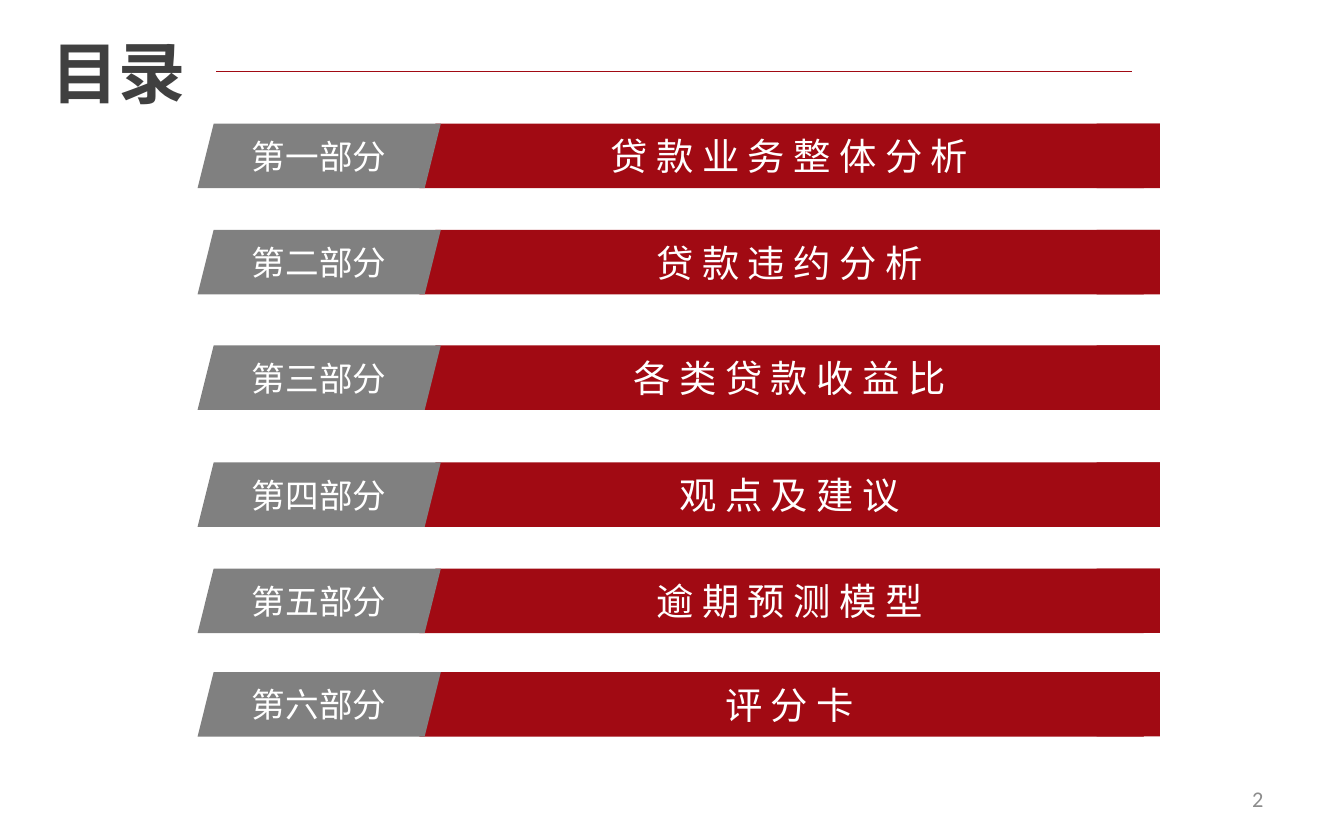
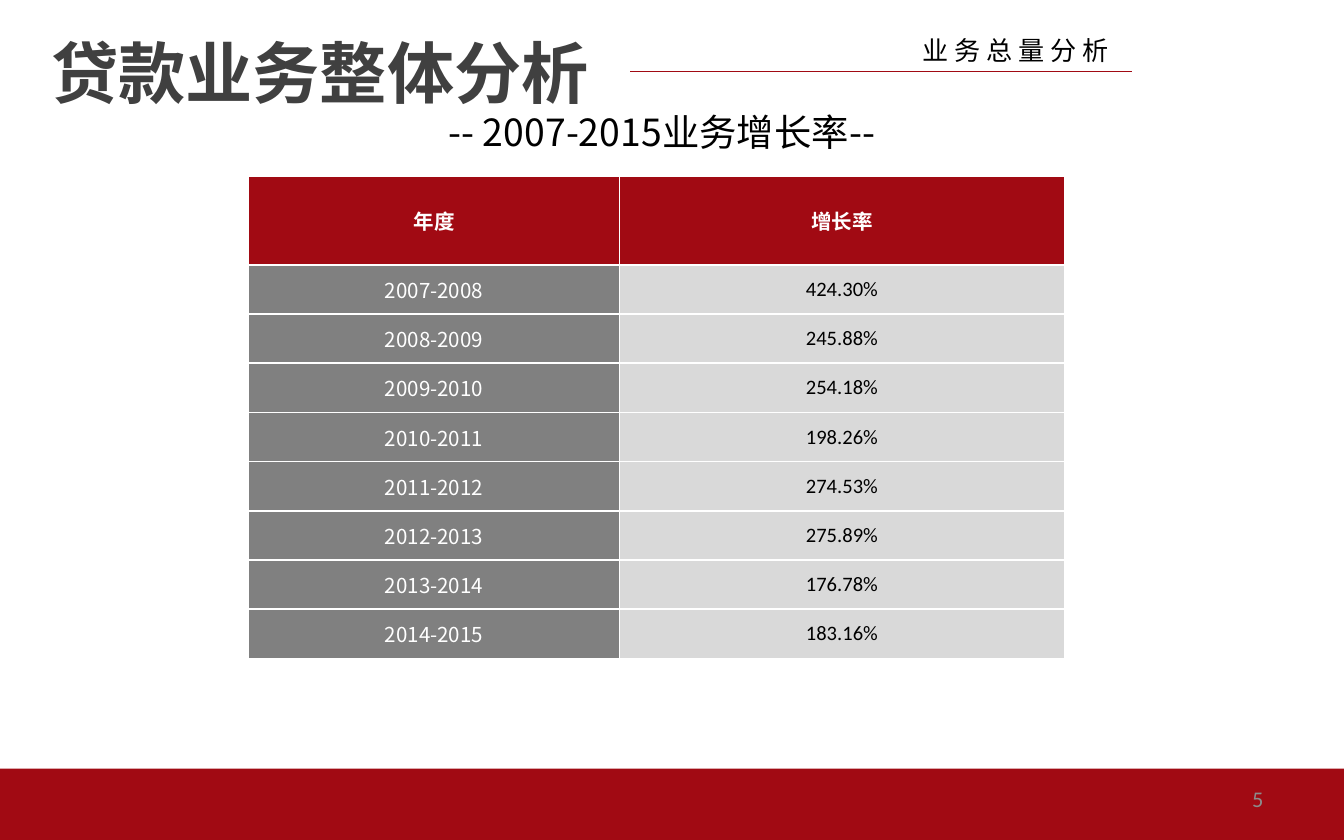
from lxml import etree
from pptx import Presentation
from pptx.dml.color import RGBColor
from pptx.enum.shapes import MSO_CONNECTOR, MSO_SHAPE
from pptx.enum.text import MSO_ANCHOR, MSO_AUTO_SIZE, PP_ALIGN
from pptx.oxml.ns import qn
from pptx.util import Inches, Pt

LEFT, CENTER, RIGHT = PP_ALIGN.LEFT, PP_ALIGN.CENTER, PP_ALIGN.RIGHT
TOP, MIDDLE = MSO_ANCHOR.TOP, MSO_ANCHOR.MIDDLE
NO_FIT = MSO_AUTO_SIZE.NONE
RECT, SLANTED = MSO_SHAPE.RECTANGLE, MSO_SHAPE.PARALLELOGRAM
STRAIGHT = MSO_CONNECTOR.STRAIGHT

COLORS = {
    "red": "A10A13",
    "gray": "808080",
    "light": "D9D9D9",
    "title": "404040",
    "number": "8C8C8C",
    "white": "FFFFFF",
    "black": "000000",
}
CJK, LATIN = "Noto Sans CJK SC", "Calibri"

STYLES = {
    "title": dict(size=36, color="title", bold=True, align=LEFT),
    "heading": dict(size=20, color="black"),
    "topic": dict(size=14, color="black", align=RIGHT),
    "number": dict(size=12, color="number", font=LATIN, align=RIGHT),
    "part": dict(size=18, color="white"),
    "section": dict(size=20, color="white"),
    "table_head": dict(size=11, color="white", bold=True),
    "year": dict(size=11, color="white"),
    "rate": dict(size=11, color="black", font=LATIN),
}

SECTIONS = [
    (0.92, "第一部分", "贷 款 业 务 整 体 分 析"),
    (1.71, "第二部分", "贷 款 违 约 分 析"),
    (2.57, "第三部分", "各 类 贷 款 收 益 比"),
    (3.44, "第四部分", "观 点 及 建 议"),
    (4.23, "第五部分", "逾 期 预 测 模 型"),
    (5.0, "第六部分", "评 分 卡"),
]
RATES = ["424.30%", "245.88%", "254.18%", "198.26%",
         "274.53%", "275.89%", "176.78%", "183.16%"]
FIRST_YEAR = 2007


def rgb(name):
    return RGBColor.from_string(COLORS[name])


def write(tf, text, style, **frame):
    look = {"font": CJK, "bold": False, "align": CENTER, **STYLES[style]}
    for name, value in frame.items():
        setattr(tf, name, value)
    p = tf.paragraphs[0]
    p.alignment = look["align"]
    r = p.add_run()
    r.text = text
    font = {"name": look["font"], "size": Pt(look["size"]), "bold": look["bold"]}
    for name, value in font.items():
        setattr(r.font, name, value)
    r.font.color.rgb = rgb(look["color"])
    etree.SubElement(r.font._element, qn("a:ea"), typeface=look["font"])


def add_text(slide, box, text, style, anchor=TOP, wrap=True):
    s = slide.shapes.add_textbox(*map(Inches, box))
    write(s.text_frame, text, style, word_wrap=wrap, vertical_anchor=anchor)


def add_block(shapes, kind, box, color):
    s = shapes.add_shape(kind, *map(Inches, box))
    s.shadow.inherit = False
    s.fill.solid()
    s.fill.fore_color.rgb = rgb(color)
    s.line.fill.background()
    return s


def add_header(slide, title, width):
    s = slide.shapes.title
    box = dict(left=0.28, top=0.18, width=width, height=0.71)
    for name, value in box.items():
        setattr(s, name, Inches(value))
    write(s.text_frame, title, "title", word_wrap=True,
          vertical_anchor=TOP, auto_size=NO_FIT)
    start = max(box["left"] + width, 1.61) if width > 2 else 1.61
    line = slide.shapes.add_connector(
        STRAIGHT, Inches(start), Inches(0.53), Inches(8.42), Inches(0.53))
    line.line.color.rgb = rgb("red")
    line.line.width = Pt(0.5)
    etree.SubElement(line._element.spPr, qn("a:effectLst"))


def add_number(slide, number):
    add_text(slide, (7.17, 5.78, 2.33, 0.33), str(number), "number", MIDDLE)


def add_section(slide, box, part, name):
    x, y, w, h = box
    part_w, bar_x, cap_w = 1.81, 1.65, 0.47
    shapes = slide.shapes.add_group_shape().shapes
    bar = add_block(shapes, SLANTED, (x + bar_x, y, w - bar_x, h), "red")
    tag = add_block(shapes, SLANTED, (x, y, part_w, h), "gray")
    add_block(shapes, RECT, (x + w - cap_w, y, cap_w, h), "red")
    for s, text, style in ((bar, name, "section"), (tag, part, "part")):
        write(s.text_frame, text, style, word_wrap=False, vertical_anchor=MIDDLE)


def add_borders(cell):
    tcPr = cell._tc.get_or_add_tcPr()
    for i, side in enumerate(("a:lnL", "a:lnR", "a:lnT", "a:lnB")):
        ln = etree.Element(qn(side), w=str(Pt(1)))
        fill = etree.SubElement(ln, qn("a:solidFill"))
        etree.SubElement(fill, qn("a:srgbClr"), val=COLORS["white"])
        tcPr.insert(i, ln)


def fill_cell(cell, text, style, color):
    for side in ("left", "right", "top", "bottom"):
        setattr(cell, f"margin_{side}", 0)
    cell.vertical_anchor = MIDDLE
    cell.fill.solid()
    cell.fill.fore_color.rgb = rgb(color)
    write(cell.text_frame, text, style)
    add_borders(cell)


def add_growth_table(slide, box):
    head_h, year_w = 0.66, 2.76
    rows = [("年度", "增长率")]
    rows += [(f"{year}-{year + 1}", rate)
             for year, rate in enumerate(RATES, FIRST_YEAR)]
    table = slide.shapes.add_table(len(rows), 2, *map(Inches, box)).table
    table.horz_banding = False
    for col, width in zip(table.columns, (year_w, box[2] - year_w)):
        col.width = Inches(width)
    for i, values in enumerate(rows):
        row_h = (box[3] - head_h) / len(RATES) if i else head_h
        table.rows[i].height = Inches(row_h)
        looks = (("year", "gray"), ("rate", "light")) if i else (("table_head", "red"),) * 2
        for j, (text, look) in enumerate(zip(values, looks)):
            fill_cell(table.cell(i, j), text, *look)


def build_contents(slide):
    add_header(slide, "目录", 1.42)
    for top, part, name in SECTIONS:
        add_section(slide, (1.47, top, 7.16, 0.48), part, name)
    add_number(slide, 2)


def build_growth(slide):
    add_block(slide.shapes, RECT, (0, 5.72, 10, 0.53), "red")
    add_growth_table(slide, (1.85, 1.31, 6.07, 3.59))
    add_header(slide, "贷款业务整体分析", 4.41)
    add_text(slide, (2.8, 0.76, 4.25, 0.44), "-- 2007-2015业务增长率--", "heading")
    add_text(slide, (6.68, 0.21, 1.67, 0.34), "业 务 总 量 分 析", "topic", wrap=False)
    add_number(slide, 5)


def main():
    prs = Presentation()
    prs.slide_width, prs.slide_height = Inches(10), Inches(6.25)
    title_only = prs.slide_layouts[5]
    for build in (build_contents, build_growth):
        build(prs.slides.add_slide(title_only))
    prs.save("out.pptx")


if __name__ == "__main__":
    main()
